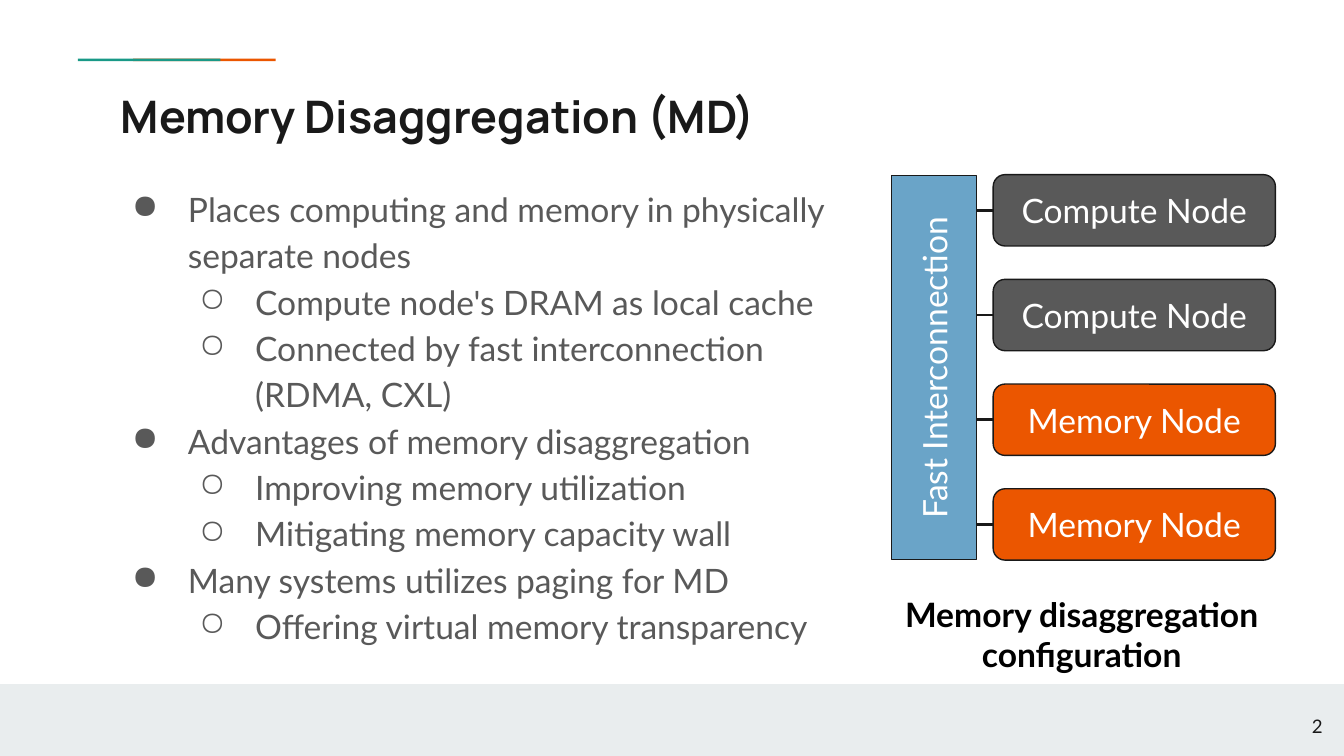
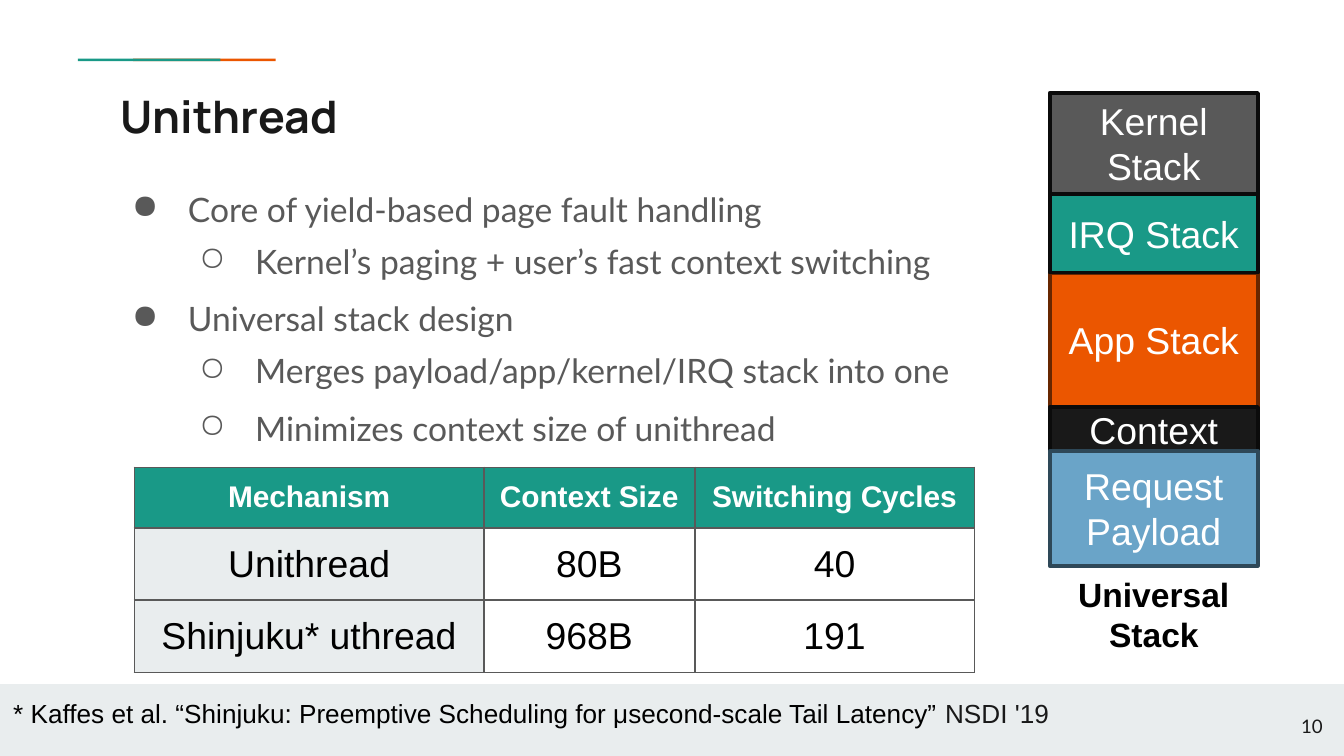
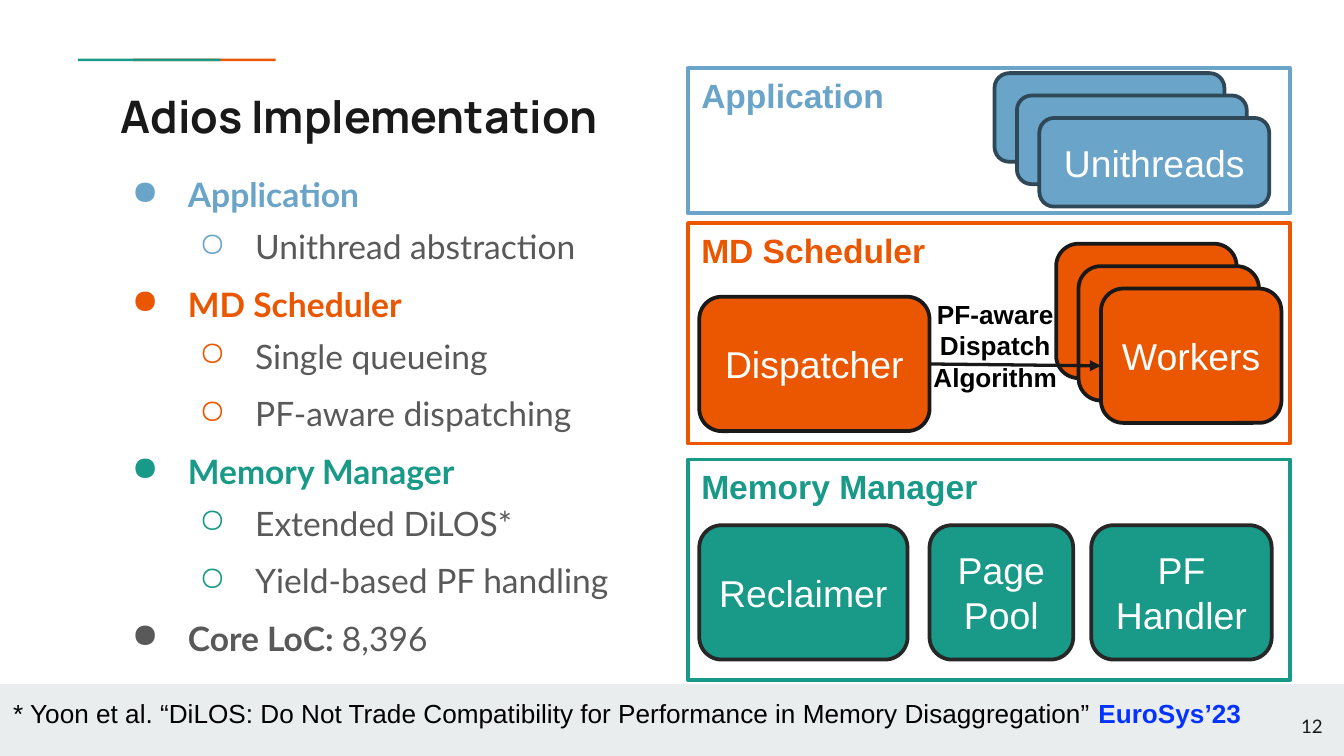
import itertools

import lxml.etree
import pptx
import pptx.dml.color
import pptx.enum.shapes
import pptx.enum.text
import pptx.oxml.ns
import pptx.util

Pt = pptx.util.Pt
RGBColor = pptx.dml.color.RGBColor
SHAPES = pptx.enum.shapes.MSO_SHAPE
ANCHOR = pptx.enum.text.MSO_ANCHOR
ALIGN = pptx.enum.text.PP_ALIGN
qn = pptx.oxml.ns.qn

BLUE = RGBColor(0x6A, 0xA4, 0xC8)
ORANGE = RGBColor(0xEB, 0x56, 0x00)
TEAL = RGBColor(0x19, 0x99, 0x87)
GRAY = RGBColor(0x59, 0x59, 0x59)
PALE = RGBColor(0xE9, 0xED, 0xEE)
INK = RGBColor(0x19, 0x19, 0x19)
WHITE = RGBColor(0xFF, 0xFF, 0xFF)
BLACK = RGBColor(0x00, 0x00, 0x00)
EDGE_BLACK = RGBColor(0x0B, 0x0B, 0x0B)
EDGE_BROWN = RGBColor(0x67, 0x26, 0x00)
EDGE_NAVY = RGBColor(0x2E, 0x48, 0x58)
EDGE_GRAY = RGBColor(0x27, 0x27, 0x27)
LINK_BLUE = RGBColor(0x04, 0x32, 0xFF)


def write(paragraph, text, *, size=18, font="Arial", color=BLACK, bold=False):
    """Append text to a paragraph, with a line break at each vertical tab."""
    for index, part in enumerate(text.split("\v")):
        if index:
            paragraph.add_line_break()
        run = paragraph.add_run()
        run.text = part
        run.font.size = Pt(size)
        run.font.name = font
        run.font.color.rgb = color
        run.font.bold = bold


def add_xml(parent, tag, **attributes):
    """Append a namespaced child element and return it."""
    return lxml.etree.SubElement(parent, qn(tag), **attributes)


class Deck:
    """Holds the shared style and the slide being built."""

    def __init__(self):
        self.presentation = pptx.Presentation()
        self.presentation.slide_width = Pt(720)
        self.presentation.slide_height = Pt(405)
        self.slide = None

    def start_slide(self, title, number, title_width):
        self.slide = self.presentation.slides.add_slide(self.presentation.slide_layouts[6])
        for left, color in ((71.4, ORANGE), (41.8, TEAL)):
            self.box(left, 31.4, 76.3, 1.4, color)
        self.box(0, 366.5, 720, 38.5, PALE)
        self.text(57.6, 40.3, title_width, 42.5, title, pad=7.2,
                  size=24, font="Manrope", color=INK, bold=True)
        self.text(672.5, 373.7, 43.2, 31, str(number), pad=7.2, anchor=ANCHOR.MIDDLE,
                  align=ALIGN.RIGHT, size=10, font="Lato", color=INK)

    def set_frame(self, shape, pad=3.6, anchor=ANCHOR.TOP, wrap=True):
        frame = shape.text_frame
        frame.word_wrap = wrap
        frame.vertical_anchor = anchor
        frame.margin_left = frame.margin_right = Pt(7.2)
        frame.margin_top = frame.margin_bottom = Pt(pad)
        return frame

    def fill_frame(self, frame, text, align=ALIGN.LEFT, **style):
        for index, line in enumerate(text.split("\n")):
            paragraph = frame.add_paragraph() if index else frame.paragraphs[0]
            paragraph.alignment = align
            write(paragraph, line, **style)

    def text(self, left, top, width, height, text, pad=3.6, anchor=ANCHOR.TOP,
             wrap=True, **style):
        shape = self.slide.shapes.add_textbox(Pt(left), Pt(top), Pt(width), Pt(height))
        frame = self.set_frame(shape, pad, anchor, wrap)
        self.fill_frame(frame, text, **style)
        return shape

    def box(self, left, top, width, height, fill, edge=None, text="", weight=2,
            kind=SHAPES.RECTANGLE, anchor=ANCHOR.MIDDLE, **style):
        shape = self.slide.shapes.add_shape(kind, Pt(left), Pt(top), Pt(width), Pt(height))
        shape.shadow.inherit = False
        shape.fill.solid()
        shape.fill.fore_color.rgb = fill
        if edge is None:
            shape.line.fill.background()
        else:
            shape.line.color.rgb = edge
            shape.line.width = Pt(weight)
        if text:
            style = {"align": ALIGN.CENTER, "size": 20, "color": WHITE, **style}
            self.fill_frame(self.set_frame(shape, anchor=anchor), text, **style)
        return shape

    def round_box(self, *place, **style):
        return self.box(*place, kind=SHAPES.ROUNDED_RECTANGLE, **style)

    def pile(self, left, top, width, height, text, **style):
        for offset in (24, 12, 0):
            self.round_box(left - offset, top - offset, width, height,
                           text="" if offset else text, **style)

    def panel(self, top, height, color, title):
        self.box(368.6, top, 322.6, height, WHITE, color, title, anchor=ANCHOR.TOP,
                 align=ALIGN.LEFT, size=18, color=color, bold=True)

    def connector(self, start, side, end_left, end_top, weight, arrow=False):
        line = self.slide.shapes.add_connector(
            pptx.enum.shapes.MSO_CONNECTOR.STRAIGHT, 0, 0, Pt(end_left), Pt(end_top))
        line.begin_connect(start, side)
        line.line.color.rgb = INK
        line.line.width = Pt(weight)
        if arrow:
            add_xml(line.line._get_or_add_ln(), "a:tailEnd", type="triangle")
        add_xml(line._element.spPr, "a:effectLst")

    def bullets(self, top, width, height, items, spacing=(0, 0)):
        shape = self.slide.shapes.add_textbox(Pt(57.6), Pt(top), Pt(width), Pt(height))
        frame = self.set_frame(shape, pad=7.2)
        for index, (level, marker_color, *runs) in enumerate(items):
            paragraph = frame.add_paragraph() if index else frame.paragraphs[0]
            paragraph.level = level
            paragraph.line_spacing = 1.15
            paragraph.space_after = Pt(spacing[level])
            properties = paragraph._p.get_or_add_pPr()
            properties.set("marL", str(Pt(36 * (level + 1))))
            properties.set("indent", str(-Pt(30)))
            marker = add_xml(properties, "a:buClr")
            add_xml(marker, "a:srgbClr", val=str(marker_color))
            add_xml(properties, "a:buChar", char="●○"[level])
            for text, color, bold in runs:
                write(paragraph, text, font="Lato", color=color, bold=bold)

    def table(self, left, top, widths, heights, rows):
        table = self.slide.shapes.add_table(
            len(rows), len(widths), Pt(left), Pt(top), Pt(sum(widths)), Pt(sum(heights))).table
        table.first_row = table.horz_banding = False
        for column, width in zip(table.columns, widths):
            column.width = Pt(width)
        for row, height in zip(table.rows, heights):
            row.height = Pt(height)
        for i, j in itertools.product(range(len(rows)), range(len(widths))):
            cell = table.cell(i, j)
            cell.margin_top = cell.margin_bottom = Pt(5)
            cell.vertical_anchor = ANCHOR.MIDDLE
            style = {"size": 20} if i else {"size": 16, "color": WHITE, "bold": True}
            self.fill_frame(cell.text_frame, rows[i][j], align=ALIGN.CENTER, **style)
            for tag in ("a:lnL", "a:lnR", "a:lnT", "a:lnB"):
                border = add_xml(cell._tc.get_or_add_tcPr(), tag, w=str(Pt(1)))
                add_xml(add_xml(border, "a:solidFill"), "a:srgbClr", val=str(GRAY))
            if i and j:
                cell.fill.background()
            else:
                cell.fill.solid()
                cell.fill.fore_color.rgb = PALE if i else TEAL

    def footnote(self, text, venue, **style):
        shape = self.text(0, 370.1, 720, 24.5, text, size=14)
        write(shape.text_frame.paragraphs[0], venue, size=14, **style)


def plain(level, text, marker_color=GRAY):
    """Return a bullet item in the body colour."""
    return level, marker_color, (text, GRAY, False)


def heading(text, color):
    """Return a bold top-level bullet item in one colour."""
    return 0, color, (text, color, True)


def build_disaggregation(deck):
    """Build the slide on memory disaggregation."""
    deck.start_slide("Memory Disaggregation (MD)", 2, 605.5)
    deck.bullets(90.7, 411.8, 290.2, [
        plain(0, "Places computing and memory in physically separate nodes"),
        plain(1, "Compute node's DRAM as local cache"),
        plain(1, "Connected by fast interconnection\v(RDMA, CXL)"),
        plain(0, "Advantages of memory disaggregation"),
        plain(1, "Improving memory utilization"),
        plain(1, "Mitigating memory capacity wall"),
        plain(0, "Many systems utilizes paging for MD"),
        plain(1, "Offering virtual memory transparency"),
    ])
    label = {"weight": 0.75, "size": 18, "font": "Lato"}
    interconnection = deck.box(397.4, 174.2, 205.9, 45.4, BLUE, INK,
                               "Fast Interconnection", **label)
    interconnection.rotation = 270
    nodes = [("Compute Node", GRAY)] * 2 + [("Memory Node", ORANGE)] * 2
    for index, (name, color) in enumerate(nodes):
        top = 93.6 + 56.1 * index
        node = deck.round_box(532.1, top, 151.2, 38.2, color, INK, name, **label)
        deck.connector(node, 1, 523.4, top + 19.1, 1.5)
    deck.text(476.6, 311, 205.9, 58.3, "Memory disaggregation configuration", pad=7.2,
              align=ALIGN.CENTER, font="Lato", bold=True)


def build_unithread(deck):
    """Build the slide on the unithread and its universal stack."""
    deck.start_slide("Unithread", 10, 490.3)
    deck.bullets(90.7, 464.4, 166.3, [
        plain(0, "Core of yield-based page fault handling"),
        plain(1, "Kernel’s paging + user’s fast context switching"),
        plain(0, "Universal stack design"),
        plain(1, "Merges payload/app/kernel/IRQ stack into one"),
        plain(1, "Minimizes context size of unithread"),
    ], spacing=(3, 6))
    deck.table(72, 250.4, (187.2, 113, 149.8), (32.4, 38.7, 38.7), [
        ("Mechanism", "Context Size", "Switching Cycles"),
        ("Unithread", "80B", "40"),
        ("Shinjuku* uthread", "968B", "191"),
    ])
    layers = [
        ("Kernel Stack", 54, GRAY, EDGE_BLACK),
        ("IRQ Stack", 42.3, TEAL, EDGE_BLACK),
        ("App Stack", 72, ORANGE, EDGE_BROWN),
        ("Context", 23.6, INK, EDGE_BLACK),
        ("Request Payload", 61.4, BLUE, EDGE_NAVY),
    ]
    tops = list(itertools.accumulate((layer[1] for layer in layers), initial=49.8))
    for index in (2, 3, 4, 1, 0):
        name, height, fill, edge = layers[index]
        deck.box(562.3, tops[index], 111.6, height, fill, edge, name)
    deck.text(562.3, 303.8, 111.6, 51.1, "Universal Stack", align=ALIGN.CENTER, bold=True)
    deck.footnote("* Kaffes et al. “Shinjuku: Preemptive Scheduling for "
                  "μsecond-scale Tail Latency” ", "NSDI '19", color=INK)


def build_implementation(deck):
    """Build the slide on the parts of the implementation."""
    deck.start_slide("Adios Implementation", 12, 311)
    deck.bullets(82.8, 282.2, 267.8, [
        heading("Application", BLUE),
        plain(1, "Unithread abstraction", BLUE),
        heading("MD Scheduler", ORANGE),
        plain(1, "Single queueing", ORANGE),
        plain(1, "PF-aware dispatching", ORANGE),
        heading("Memory Manager", TEAL),
        plain(1, "Extended DiLOS*", TEAL),
        plain(1, "Yield-based PF handling", TEAL),
        heading("Core LoC: ", GRAY) + (("8,396", GRAY, False),),
    ], spacing=(3, 6))

    deck.panel(246.2, 118.1, TEAL, "Memory Manager")
    for left, width, name in ((374.6, 111.6, "Reclaimer"), (498, 77, "Page Pool"),
                              (584.6, 96.7, "PF Handler")):
        deck.round_box(left, 281.4, width, 72, fill=TEAL, edge=EDGE_GRAY, text=name)

    deck.panel(119.5, 118.1, ORANGE, "MD Scheduler")
    dispatcher = deck.round_box(374.6, 159, 123.4, 72, fill=ORANGE, edge=INK,
                                text="Dispatcher")
    deck.pile(589.8, 154.6, 96.7, 72, "Workers", fill=ORANGE, edge=INK)
    deck.connector(dispatcher, 3, 589.8, 196, 1.75, arrow=True)
    deck.text(492.5, 156.2, 81.4, 58.3, "PF-aware\nDispatch\nAlgorithm", wrap=False,
              align=ALIGN.CENTER, size=14, bold=True)

    deck.panel(36.5, 77.8, BLUE, "Application")
    deck.pile(556.8, 63.2, 123.2, 47.5, "Unithreads", fill=BLUE, edge=EDGE_NAVY)
    deck.footnote("* Yoon et al. “DiLOS: Do Not Trade Compatibility for Performance "
                  "in Memory Disaggregation” ", "EuroSys’23", color=LINK_BLUE, bold=True)


def main():
    """Build the three slides and save them."""
    deck = Deck()
    build_disaggregation(deck)
    build_unithread(deck)
    build_implementation(deck)
    deck.presentation.save("out.pptx")


if __name__ == "__main__":
    main()
